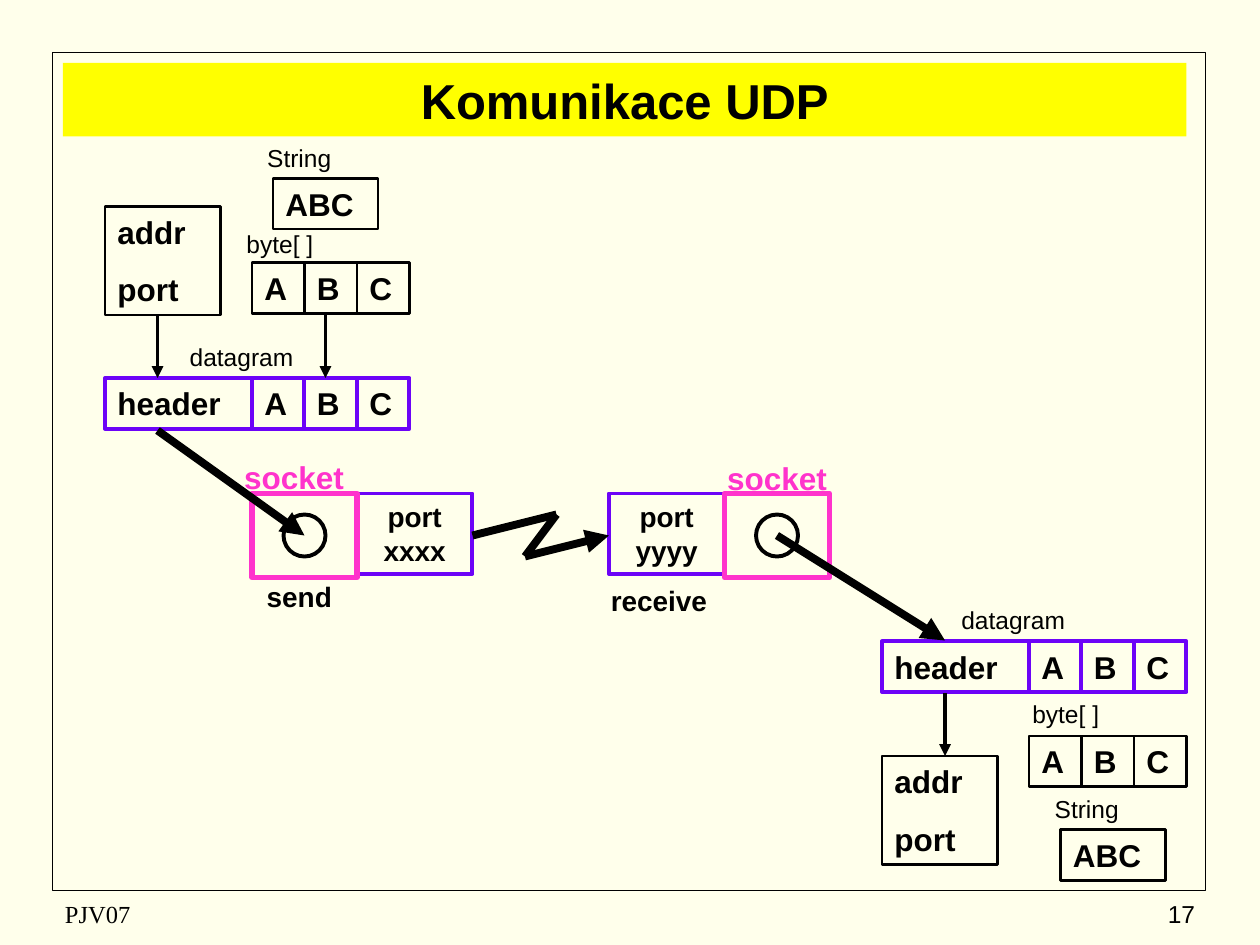
from lxml.etree import SubElement
from pptx import Presentation
from pptx.dml.color import RGBColor
from pptx.enum.shapes import MSO_CONNECTOR as Line, MSO_SHAPE as Preset
from pptx.enum.text import MSO_ANCHOR as Anchor, PP_ALIGN as Align
from pptx.oxml.ns import qn
from pptx.util import Pt

PAPER = RGBColor(0xFF, 0xFF, 0xEB)
BLACK = RGBColor(0, 0, 0)
YELLOW = RGBColor(0xFF, 0xFF, 0)
VIOLET = RGBColor(0x6C, 0x03, 0xF7)
PINK = RGBColor(0xFF, 0x33, 0xCC)

CELL, ROW = 30, 29  # width of one byte cell, height of a one-line box

prs = Presentation()
prs.slide_width, prs.slide_height = Pt(720), Pt(540)
slide = prs.slides.add_slide(prs.slide_layouts[6])
slide.background.fill.solid()
slide.background.fill.fore_color.rgb = PAPER


def box(lines, left, top, width, height, size=18, bold=True, color=BLACK,
        align=Align.LEFT, anchor=Anchor.TOP, gap=0, font="Arial",
        fill=None, border=None, weight=1.5, preset=Preset.RECTANGLE):
    """Draw a shape, or a text box if it has neither fill nor border."""
    place = Pt(left), Pt(top), Pt(width), Pt(height)
    if fill or border:
        shape = slide.shapes.add_shape(preset, *place)
        shape.shadow.inherit = False
        if fill:
            shape.fill.solid()
            shape.fill.fore_color.rgb = fill
        else:
            shape.fill.background()
        if border:
            shape.line.color.rgb = border
            shape.line.width = Pt(weight)
        else:
            shape.line.fill.background()
    else:
        shape = slide.shapes.add_textbox(*place)
    frame = shape.text_frame
    frame.word_wrap = True
    frame.vertical_anchor = anchor
    for i, text in enumerate(lines):
        paragraph = frame.add_paragraph() if i else frame.paragraphs[0]
        paragraph.alignment = align
        if i:
            paragraph.space_before = Pt(gap)
        run = paragraph.add_run()
        run.text = text
        run.font.name, run.font.size, run.font.bold = font, Pt(size), bold
        run.font.color.rgb = color


def stroke(start, end, weight, arrow=True):
    """Draw a straight line, with an arrowhead at its end if wanted."""
    line = slide.shapes.add_connector(Line.STRAIGHT, *map(Pt, start + end))
    line.line.color.rgb = BLACK
    line.line.width = Pt(weight)
    if arrow:
        SubElement(line.line._get_or_add_ln(), qn("a:tailEnd"), type="triangle")
    SubElement(line._element.spPr, qn("a:effectLst"))


# Frame, title and footer
box([], 30, 30, 659, 479, border=BLACK, weight=1)
box(["Komunikace UDP"], 36, 36, 642, 42, size=28, fill=YELLOW,
    align=Align.CENTER, anchor=Anchor.MIDDLE)
box(["PJV07"], 30, 510, 228, 24, size=14, bold=False, anchor=Anchor.MIDDLE,
    font="Times New Roman")
box(["17"], 540, 510, 150, 24, size=14, bold=False, anchor=Anchor.MIDDLE,
    align=Align.RIGHT)

# Small captions
for caption, left, top, width in [
    ("String", 126, 78, 90), ("byte[ ]", 120, 127.5, 80), ("datagram", 96, 192, 84),
    ("datagram", 534, 342, 90), ("byte[ ]", 564, 396, 90), ("String", 576, 450, 90),
]:
    box([caption], left, top, width, 24.5, size=14, bold=False, align=Align.CENTER)

# Data of the sender and the receiver
for left, address_top, string_left, string_top, bytes_top, datagram_top in [
    (60, 118, 156, 102, 150, 216),
    (504, 432, 606, 474, 420.5, 366.5),
]:
    box(["addr", "port"], left, address_top, 66, 62, gap=11.2, border=BLACK)
    box(["ABC"], string_left, string_top, 60, ROW, border=BLACK)
    box(["header"], left, datagram_top, 84, ROW, border=VIOLET, weight=2.25)
    for i, letter in enumerate("ABC"):
        cell_left = left + 84 + i * CELL
        box([letter], cell_left, bytes_top, CELL, ROW, border=BLACK)
        box([letter], cell_left, datagram_top, CELL, ROW, border=VIOLET, weight=2.25)

# Ports and sockets
for port, port_left, socket_left, label_left, label_top in [
    ("xxxx", 204, 144, 120, 258), ("yyyy", 348, 414, 396, 259),
]:
    box(["port", port], port_left, 282, 66, 46, size=16, align=Align.CENTER,
        fill=PAPER, border=VIOLET, weight=2.25)
    box([], socket_left, 282, 60, 48, fill=PAPER, border=PINK, weight=3)
    box([], socket_left + 18, 294, 24, 24, fill=PAPER, border=BLACK, weight=2.25,
        preset=Preset.OVAL)
    box(["socket"], label_left, label_top, 96, ROW, color=PINK, align=Align.CENTER)
for action, left, top, width in [("send", 144, 327.5, 54), ("receive", 331.5, 330, 90)]:
    box([action], left, top, width, 26.5, size=16, align=Align.CENTER)

# Thin arrows between data and datagrams
for x, top, bottom in [(90, 180, 216), (186, 180, 216), (540, 396, 432)]:
    stroke((x, top), (x, bottom), 2.25)

# Thick arrows through the sockets
stroke((90, 246), (174, 306), 4.5)
stroke((444, 306), (540, 366), 4.5)

# Network flash between the ports
stroke((270, 306), (318, 294), 4.5, arrow=False)
stroke((318, 294), (300, 318), 4.5, arrow=False)
stroke((300, 318), (348, 306), 4.5)

prs.save("out.pptx")
